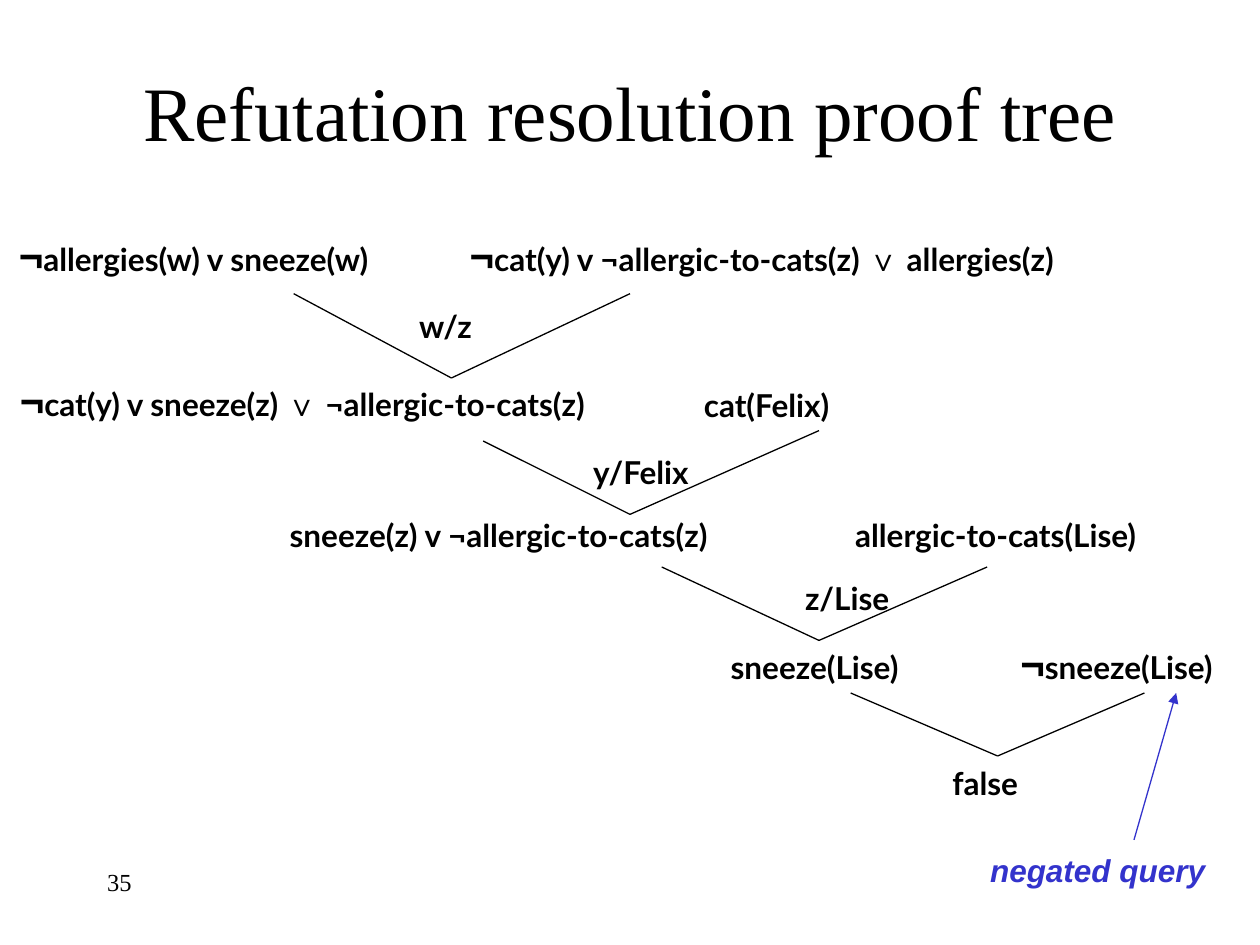
from lxml.etree import SubElement
from pptx import Presentation
from pptx.dml.color import RGBColor
from pptx.enum.shapes import MSO_CONNECTOR
from pptx.enum.text import MSO_ANCHOR, MSO_AUTO_SIZE, PP_ALIGN
from pptx.oxml.ns import qn
from pptx.util import Cm, Pt

BLACK = RGBColor(0x00, 0x00, 0x00)
BLUE = RGBColor(0x33, 0x33, 0xCC)
SERIF, SANS, CLAUSE = "Times New Roman", "Arial", "Lato"


class ProofSlide:
    """Holds the text style and the page being drawn."""

    clause_font = {"name": CLAUSE, "size": Pt(18), "bold": True}
    clause_para = {"line_spacing": 0.9, "space_before": Pt(4.5)}
    negation_font = {"name": SANS, "size": Pt(24)}
    or_font = {"name": SANS}

    def __init__(self, deck):
        self.page = deck.slides.add_slide(deck.slide_layouts[6])

    def text(self, place, spans, para_format=None, frame_format=None):
        box = self.page.shapes.add_textbox(*map(Cm, place))
        frame = box.text_frame
        para = frame.paragraphs[0]
        for name, value in {"word_wrap": True, **(frame_format or {})}.items():
            setattr(frame, name, value)
        for name, value in (para_format or {}).items():
            setattr(para, name, value)
        for words, font_format, color in spans:
            span = para.add_run()
            span.text = words
            span.font.color.rgb = color
            for name, value in font_format.items():
                setattr(span.font, name, value)

    def clause(self, left, top, width, words):
        """A formula; a leading ¬ is larger, and both it and ∨ use the sans font."""
        spans = []
        height = 0.94
        if words.startswith("¬"):
            height = 1.17
            spans.append(("¬", {**self.clause_font, **self.negation_font}, BLACK))
            words = words[1:]
        before, symbol, after = words.partition("∨")
        spans.append((before, self.clause_font, BLACK))
        if symbol:
            spans.append((symbol, {**self.clause_font, **self.or_font}, BLACK))
            spans.append((after, self.clause_font, BLACK))
        self.text((left, top, width, height), spans, self.clause_para,
                  {"word_wrap": False, "auto_size": MSO_AUTO_SIZE.SHAPE_TO_FIT_TEXT})

    def line(self, start, end, color=BLACK, arrow=False):
        line = self.page.shapes.add_connector(
            MSO_CONNECTOR.STRAIGHT, *map(Cm, start + end))
        line.line.color.rgb = color
        line.line.width = Pt(0.75)
        if arrow:
            SubElement(line.line._get_or_add_ln(), qn("a:tailEnd"), type="triangle")
        SubElement(line._element.spPr, qn("a:effectLst"))

    def resolve(self, left, right, result):
        """Joins two parent clauses to their resolvent."""
        for parent in (left, right):
            self.line(parent, result)


def main():
    deck = Presentation()
    deck.slide_width, deck.slide_height = Cm(25.4), Cm(19.05)
    slide = ProofSlide(deck)

    # Page number and title
    slide.text((1.91, 17.35, 5.28, 1.27),
               [("35", {"name": SERIF, "size": Pt(14)}, BLACK)])
    slide.text((1.91, 0.64, 21.59, 3.18),
               [("Refutation resolution proof tree",
                 {"name": SERIF, "size": Pt(44)}, BLACK)],
               {"alignment": PP_ALIGN.CENTER},
               {"vertical_anchor": MSO_ANCHOR.MIDDLE})

    # Clauses, level by level
    for clause in (
        (0.13, 4.62, 8.59, "¬allergies(w) v sneeze(w)"),
        (9.22, 4.62, 13.36, "¬cat(y) v ¬allergic-to-cats(z) ∨ allergies(z)"),
        (0.15, 7.54, 12.8, "¬cat(y) v sneeze(z) ∨ ¬allergic-to-cats(z)"),
        (13.94, 7.75, 3.4, "cat(Felix)"),
        (5.59, 10.36, 9.93, "sneeze(z) v ¬allergic-to-cats(z)"),
        (16.99, 10.36, 6.91, "allergic-to-cats(Lise)"),
        (14.48, 13.03, 4.34, "sneeze(Lise)"),
        (20.32, 12.85, 4.9, "¬sneeze(Lise)"),
        (18.95, 15.37, 2.01, "false"),
    ):
        slide.clause(*clause)

    # Resolution steps
    for step in (
        ((5.92, 5.92), (12.7, 5.92), (9.1, 7.62)),
        ((9.74, 8.89), (16.51, 8.68), (12.7, 10.37)),
        ((13.34, 11.43), (19.9, 11.43), (16.51, 12.91)),
        ((17.15, 13.97), (23.07, 13.97), (20.11, 15.24)),
    ):
        slide.resolve(*step)

    # Substitutions
    for substitution in (
        (8.2, 6.15, 1.63, "w/z"),
        (11.71, 9.09, 2.62, "y/Felix"),
        (15.98, 11.63, 2.31, "z/Lise"),
    ):
        slide.clause(*substitution)

    # Note on the negated query
    slide.text((19.71, 17.04, 4.85, 1.02),
               [("negated query", {"name": SANS, "size": Pt(18),
                                   "bold": True, "italic": True}, BLUE)],
               frame_format={"auto_size": MSO_AUTO_SIZE.SHAPE_TO_FIT_TEXT})
    slide.line((22.86, 16.93), (23.71, 13.97), BLUE, arrow=True)

    deck.save("out.pptx")


if __name__ == "__main__":
    main()
